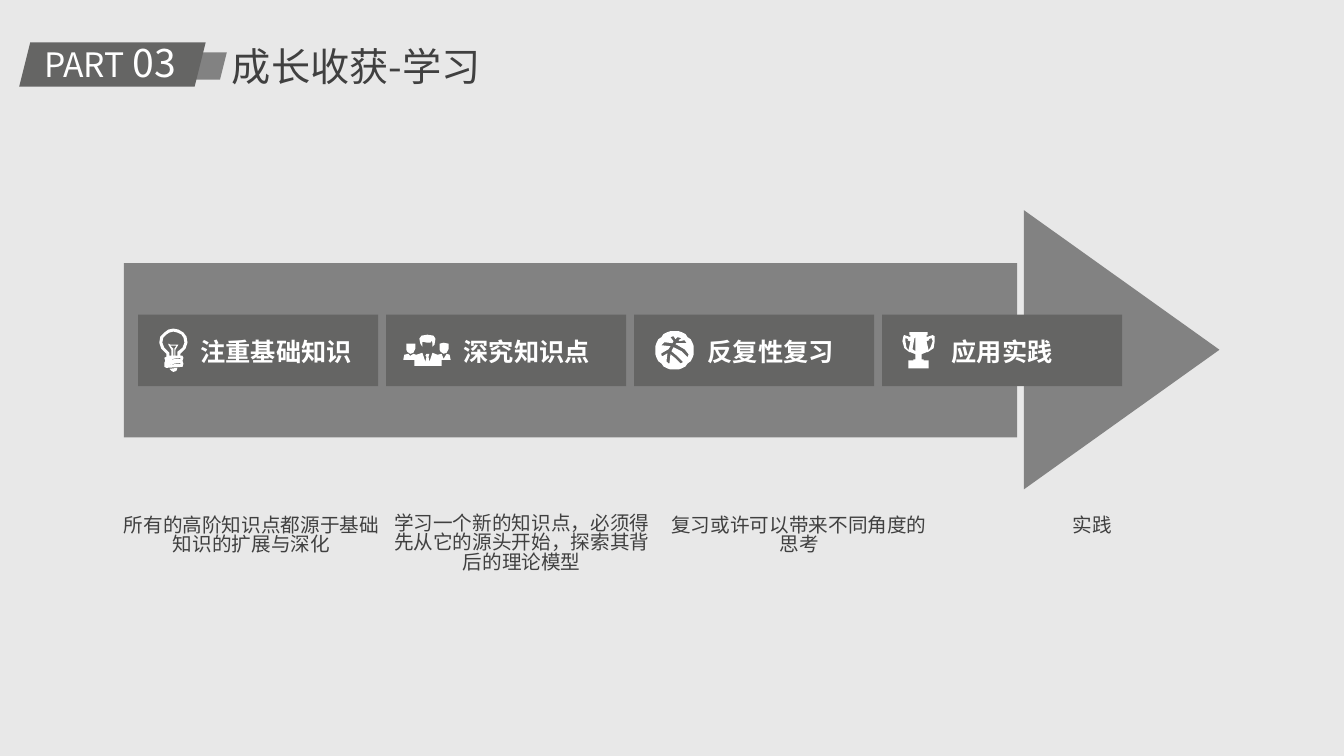
from collections import namedtuple
from dataclasses import dataclass
from math import cos, pi, sin
from lxml.etree import SubElement
from pptx import Presentation
from pptx.dml.color import RGBColor
from pptx.enum.shapes import MSO_SHAPE
from pptx.enum.text import MSO_ANCHOR, MSO_AUTO_SIZE, PP_ALIGN
from pptx.oxml.ns import qn
from pptx.util import Inches, Pt


@dataclass(frozen=True)
class Theme:
    font: str = "Noto Sans CJK SC"
    background: str = "E8E8E8"
    band: str = "828282"
    card: str = "656564"
    light: str = "FFFFFF"
    dark: str = "404040"
    title: float = 28
    section: float = 24
    label: float = 18
    caption: float = 14


THEME = Theme()
CELL = Inches(0.1)
COLUMNS, ROWS = 133.3, 75
ICON_UNIT = CELL / 10
CARD_WIDTH, CARD_PITCH = 23.8, 24.6

Step = namedtuple("Step", "label label_left label_width icon icon_left caption caption_left caption_top")


class Box(namedtuple("Box", "left top width height")):
    def inner(self, left, top, width, height):
        return Box(self.left + left, self.top + top, width, height)

    def lengths(self):
        return [round(value * CELL) for value in self]


CIRCLE = " ".join(
    f"{19 + 19 * cos(turn * pi / 16):.1f},{19 + 19 * sin(turn * pi / 16):.1f}" for turn in range(32)
)
BULB = (
    "14,0 19,1 24,4 27,8 28,14 26,20 21,25 21,27 23,27 24,29 23,32 24,35 23,38 7,39 5,38 5,34 6,32 5,29 7,28 7,25 2,20 0,14 1,8 5,4 9,1",
    "9,15 11,16 18,16 19,16 16,21 16,27 18,27 18,23 23,19 25,14 24,9 22,6 18,4 14,3 10,4 7,6 4,9 3,14 5,19 10,24 10,27 12,27 12,21 9,16",
    "17,17 11,17 14,20 14,27 15,27 15,20",
    "18,39 10,40 12,42 14,43 17,42",
    "21,34 7,36 21,35",
    "21,29 7,31 21,30",
)
TEAM = (
    "29,12 29,8 28,6 27,8 24,8 19,7 19,12 17,9 16,4 18,1 24,0 30,1 32,4 31,10",
    "3,15 3,9 8,9 12,9 12,14 10,18 7,19 4,17",
    "36,15 36,9 40,8 45,9 45,14 43,18 40,19 37,17",
    "10,19 7,21 5,19 1,20 0,25 11,25 11,31 38,31 38,25 47,25 46,20 43,19 40,24 38,19 34,20 29,18 26,27 25,22 26,19 23,19 22,21 23,22 22,27 19,18 13,20",
)
RUNNER = (
    CIRCLE,
    "9,11 7,13 6,14 15,15 13,18 6,22 6,24 7,25 12,22 11,30 13,32 14,32 15,23 20,27 25,32 27,31 27,30 22,25 16,20 18,16 20,17 26,20 32,26 33,23 29,18 22,14 20,13 21,12 31,12 29,9 24,10 23,9 26,7 22,6 20,8 18,5 15,6 18,10 17,12",
)
TROPHY = (
    "8,3 8,5 2,3 1,4 0,9 2,16 7,20 8,20 13,22 13,27 11,27 11,28 6,28 6,36 26,36 26,28 21,28 21,27 19,27 19,22 24,20 25,20 31,16 32,9 32,4 30,3 24,5 24,3 25,3 25,0 7,0 7,3",
    "26,18 24,9 27,8 26,7 29,6 30,9 28,15",
    "8,9 6,18 4,15 3,9 3,6 6,7 5,8 7,9",
    "13,5 13,19 10,17 12,6",
)
STEPS = (
    Step("注重基础知识", 5.2, 17.2, BULB, 2.1, "所有的高阶知识点都源于基础知识的扩展与深化", 0, 0.2),
    Step("深究知识点", 6.7, 14.6, TEAM, 1.7, "学习一个新的知识点，必须得先从它的源头开始，探索其背后的理论模型", 26.8, 0),
    Step("反复性复习", 6.3, 14.6, RUNNER, 2.1, "复习或许可以带来不同角度的思考", 54.3, 0.2),
    Step("应用实践", 5.9, 12.1, TROPHY, 2, "实践", 83.4, 0.2),
)


def paint(shape, color):
    shape.shadow.inherit = False
    shape.fill.solid()
    shape.fill.fore_color.rgb = RGBColor.from_string(color)
    shape.line.fill.background()


def add_block(page, kind, box, color):
    shape = page.shapes.add_shape(kind, *box.lengths())
    paint(shape, color)
    return shape


def add_span(para, text, size, color, bold=False):
    span = para.add_run()
    span.text = text
    span.font.name = THEME.font
    span.font.size = Pt(size)
    span.font.bold = bold
    span.font.color.rgb = RGBColor.from_string(color)
    SubElement(span.font._element, qn("a:ea"), typeface=THEME.font)


def add_text_frame(page, box, wrap=True):
    frame = page.shapes.add_textbox(*box.lengths()).text_frame
    frame.word_wrap = wrap
    return frame


def add_icon(page, contours, left, middle):
    outlines = [
        [tuple(float(value) for value in point.split(",")) for point in contour.split()]
        for contour in contours
    ]
    height = max(y for outline in outlines for x, y in outline)
    builder = page.shapes.build_freeform(*outlines[0][0], scale=ICON_UNIT)
    for number, outline in enumerate(outlines):
        if number:
            builder.move_to(*outline[0])
        builder.add_line_segments(outline[1:], close=True)
    top = round(middle * CELL - height * ICON_UNIT / 2)
    paint(builder.convert_to_shape(round(left * CELL), top), THEME.light)


def add_header(page, box):
    add_block(page, MSO_SHAPE.PARALLELOGRAM, box.inner(15.2, 1.9, 5.4, 2.7), THEME.band)
    add_block(page, MSO_SHAPE.PARALLELOGRAM, box.inner(0, 0.9, 18.5, 4.4), THEME.card)
    para = add_text_frame(page, box.inner(1.5, 0, 15.4, 5.7)).paragraphs[0]
    add_span(para, "PART ", THEME.section, THEME.light)
    add_span(para, "03", THEME.title, THEME.light)
    title = page.shapes.title
    title.left, title.top, title.width, title.height = box.inner(20.1, 0.4, 38.2, 5.7).lengths()
    frame = title.text_frame
    frame.vertical_anchor = MSO_ANCHOR.TOP
    frame.auto_size = MSO_AUTO_SIZE.NONE
    para = frame.paragraphs[0]
    para.alignment = PP_ALIGN.LEFT
    add_span(para, "成长收获-学习", THEME.title, THEME.dark)


def add_card(page, box, step):
    add_block(page, MSO_SHAPE.RECTANGLE, box, THEME.card)
    label = add_text_frame(page, box.inner(step.label_left, 1.7, step.label_width, 4), wrap=False)
    add_span(label.paragraphs[0], step.label, THEME.label, THEME.light, bold=True)
    add_icon(page, step.icon, box.left + step.icon_left, box.top + box.height / 2)


def add_arrow(page, box):
    add_block(page, MSO_SHAPE.RECTANGLE, box.inner(0, 5.3, 88.6, 17.3), THEME.band)
    head = add_block(page, MSO_SHAPE.ISOSCELES_TRIANGLE, box.inner(85.1, 4.2, 27.7, 19.4), THEME.band)
    head.rotation = 90
    for number, step in enumerate(STEPS):
        add_card(page, box.inner(1.4 + number * CARD_PITCH, 10.4, CARD_WIDTH, 7.1), step)


def add_captions(page, box):
    for step in STEPS:
        frame = add_text_frame(page, box.inner(step.caption_left, step.caption_top, 26.1, box.height))
        frame.margin_left = frame.margin_right = frame.margin_top = frame.margin_bottom = 0
        para = frame.paragraphs[0]
        para.alignment = PP_ALIGN.CENTER
        para.space_before = Pt(7.5)
        para.line_spacing = 0.82
        add_span(para, step.caption, THEME.caption, THEME.dark)


def main():
    deck = Presentation()
    deck.slide_width, deck.slide_height = round(COLUMNS * CELL), ROWS * CELL
    page = deck.slides.add_slide(deck.slide_layouts[5])
    page.background.fill.solid()
    page.background.fill.fore_color.rgb = RGBColor.from_string(THEME.background)
    add_header(page, Box(1.9, 3.3, 58.3, 6.1))
    add_arrow(page, Box(12.3, 20.8, 108.7, 27.7))
    add_captions(page, Box(11.9, 51.1, 109.5, 9.8))
    deck.save("out.pptx")


if __name__ == "__main__":
    main()
